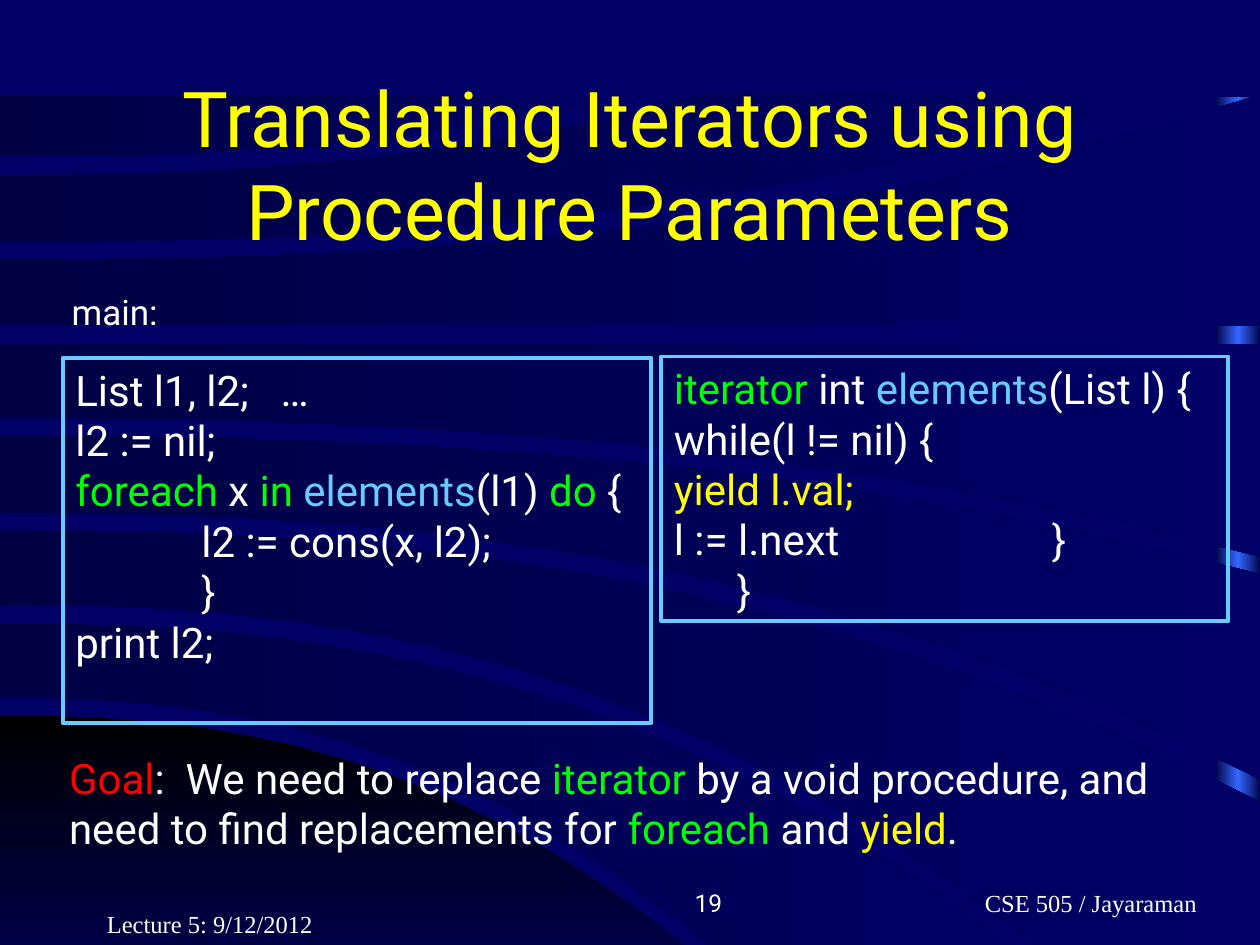
from lxml import etree
from pptx import Presentation
from pptx.dml.color import RGBColor
from pptx.enum import shapes, text
from pptx.oxml import ns
from pptx.util import Inches, Pt

COLORS = {
    "navy": "000066", "dark": "000044", "black": "000000", "blue": "3366FF",
    "white": "FFFFFF", "yellow": "FFFF00", "green": "00FF00",
    "sky": "66CCFF", "red": "FF0000",
}


def set_gradient(sp, names, angle=0):
    """Fill a borderless shape with evenly spaced gradient stops."""
    sp.shadow.inherit = False
    sp.line.fill.background()
    sp.fill.gradient()
    sp.fill.gradient_angle = angle
    stops = sp.fill._fill._gradFill.find(ns.qn("a:gsLst"))
    for stop in list(stops):
        stops.remove(stop)
    for i, name in enumerate(names):
        stop = etree.SubElement(stops, ns.qn("a:gs"), pos=str(100000 * i // (len(names) - 1)))
        etree.SubElement(stop, ns.qn("a:srgbClr"), val=COLORS[name])


def write(tf, lines, size, font="Roboto", align=text.PP_ALIGN.LEFT, tabs=()):
    """Write lines of (text, colour) runs, with tab stops in inches."""
    for i, line in enumerate(lines):
        p = tf.paragraphs[0] if i == 0 else tf.add_paragraph()
        p.alignment = align
        if tabs:
            tab_list = etree.SubElement(p._p.get_or_add_pPr(), ns.qn("a:tabLst"))
            for tab in tabs:
                etree.SubElement(tab_list, ns.qn("a:tab"), pos=str(Inches(tab)), algn="l")
        for words, color in line:
            r = p.add_run()
            r.text = words
            r.font.size = Pt(size)
            r.font.name = font
            r.font.color.rgb = RGBColor.from_string(COLORS[color])


prs = Presentation()
prs.slide_width, prs.slide_height = Inches(10), Inches(7.5)
s = prs.slides.add_slide(prs.slide_layouts[5])
s.background.fill.solid()
s.background.fill.fore_color.rgb = RGBColor.from_string(COLORS["navy"])

# Background: a bright strip on the right, partly covered by sweeping bands
strip = s.shapes.add_shape(shapes.MSO_SHAPE.RECTANGLE, Inches(9.64), Inches(0.77), Inches(0.37), Inches(7.5))
set_gradient(strip, ["dark", "blue", "dark"])

# Each band lies between two edges: (y at the left, x at the end, y at the end)
BEND = 2.4
STEPS = 16
bands = [
    ((5.68, 6.29, 8.27), (8.27, 6.29, 8.27)),
    ((4.95, 8.94, 8.25), (5.54, 6.43, 8.25)),
    ((4.21, 10.01, 6.37), (4.8, 9.1, 8.25)),
    ((3.46, 10.01, 4.56), (4.07, 10.01, 6.19)),
    ((2.73, 10.01, 2.73), (3.32, 10.01, 4.42)),
    ((2.06, 10.01, 0.75), (2.59, 10.01, 2.59)),
    ((1.39, 5.57, 0.75), (1.92, 9.18, 0.75)),
    ((0.75, 5.02, 0.75), (1.24, 5.02, 0.75)),
]
# The third band runs on to the lower right corner
corners = {2: [(Inches(10.01), Inches(8.25))]}
for i, edges in enumerate(bands):
    upper, lower = [
        [(Inches(x_end * k / STEPS), Inches(y + (y_end - y) * (k / STEPS) ** BEND))
         for k in range(STEPS + 1)]
        for y, x_end, y_end in edges
    ]
    outline = upper + corners.get(i, []) + lower[::-1]
    builder = s.shapes.build_freeform(*outline[0])
    builder.add_line_segments(outline[1:], close=True)
    names, angle = (["black", "navy"], 270) if i == 0 else (["dark", "navy"], 0)
    set_gradient(builder.convert_to_shape(), names, angle)

# Title, brought in front of the background
title = s.shapes.title
s.shapes._spTree.append(title._element)
title.left, title.top, title.width, title.height = Inches(0.75), Inches(0.67), Inches(8.5), Inches(1.25)
title.text_frame.auto_size = text.MSO_AUTO_SIZE.NONE
title.text_frame.vertical_anchor = text.MSO_ANCHOR.MIDDLE
write(title.text_frame, [[("Translating Iterators using Procedure Parameters", "yellow")]],
      44, align=text.PP_ALIGN.CENTER)

# Code boxes
main_code = [
    [("List l1, l2;\t…", "white")],
    [("l2 := nil;", "white")],
    [("foreach", "green"), (" x ", "white"), ("in ", "green"), ("elements", "sky"),
     ("(l1) ", "white"), ("do", "green"), (" {", "white")],
    [("\tl2 := cons(x, l2);", "white")],
    [("\t}", "white")],
    [("print l2;", "white")],
]
iterator_code = [
    [("iterator", "green"), (" int ", "white"), ("elements", "sky"), ("(List l) {", "white")],
    [("while(l != nil) {", "white")],
    [("yield l.val;", "yellow")],
    [("l := l.next\t}", "white")],
    [("\t}", "white")],
]
for left, top, width, height, code, tabs in [
    (0.5, 2.84, 4.67, 2.9, main_code, (1, 1.63)),
    (5.25, 2.83, 4.5, 2.1, iterator_code, (0.5, 3)),
]:
    sp = s.shapes.add_shape(shapes.MSO_SHAPE.RECTANGLE, Inches(left), Inches(top), Inches(width), Inches(height))
    sp.shadow.inherit = False
    sp.fill.background()
    sp.line.color.rgb = RGBColor.from_string(COLORS["sky"])
    sp.line.width = Pt(2.25)
    sp.text_frame.vertical_anchor = text.MSO_ANCHOR.TOP
    write(sp.text_frame, code, 24, tabs=tabs)

# Label and goal
goal = [
    [("Goal", "red"), (":  We need to replace ", "white"), ("iterator", "green"),
     (" by a void procedure, and", "white")],
    [("need to find replacements for ", "white"), ("foreach", "green"), (" and ", "white"),
     ("yield", "yellow"), (".", "white")],
]
for left, top, width, height, lines, size in [
    (0.47, 2.26, 0.93, 0.44, [[("main:", "white")]], 20),
    (0.45, 5.92, 9.44, 0.9, goal, 24),
]:
    sp = s.shapes.add_textbox(Inches(left), Inches(top), Inches(width), Inches(height))
    sp.text_frame.word_wrap = False
    write(sp.text_frame, lines, size)

# Footer
for left, top, width, words, font, align, inset in [
    (6.58, 6.83, 3.17, "CSE 505 / Jayaraman", "Times New Roman", text.PP_ALIGN.RIGHT, 0.25),
    (3.75, 6.83, 2.08, "19", "Roboto", text.PP_ALIGN.RIGHT, 0.1),
    (0.75, 7, 2.08, "Lecture 5: 9/12/2012", "Times New Roman", text.PP_ALIGN.LEFT, 0.1),
]:
    sp = s.shapes.add_textbox(Inches(left), Inches(top), Inches(width), Inches(0.5))
    tf = sp.text_frame
    tf.word_wrap = True
    tf.vertical_anchor = text.MSO_ANCHOR.BOTTOM
    tf.margin_right = Inches(inset)
    write(tf, [[(words, "white")]], 14, font, align)

prs.save("out.pptx")
